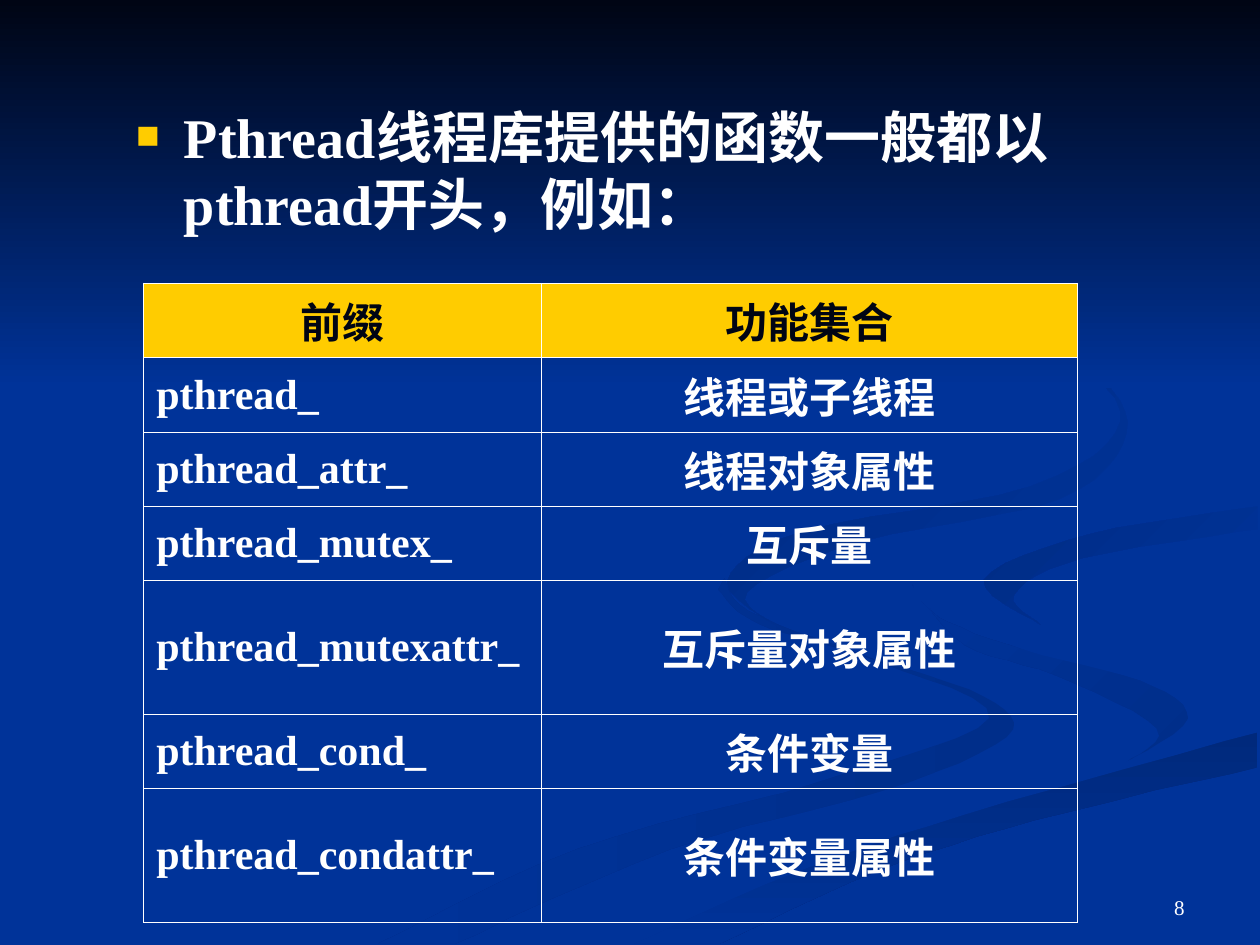
from typing import NamedTuple

from lxml.etree import SubElement
from pptx import Presentation
from pptx.dml.color import RGBColor
from pptx.enum.text import MSO_ANCHOR, MSO_AUTO_SIZE, PP_ALIGN
from pptx.oxml.ns import qn
from pptx.util import Pt

PX = 9144
SLIDE_WIDTH, SLIDE_HEIGHT = 1000, 750
FONT = "Times New Roman"
NAVY, BLUE, YELLOW, WHITE = "000514", "003399", "FFCC00", "FFFFFF"
SMOOTH_STEPS = 6

Point = tuple[int, int]


class Ribbon(NamedTuple):
    start: str
    end: str
    angle: int
    edges: list[list[Point]]


class Prefix(NamedTuple):
    name: str
    purpose: str
    height: int = 59


RIBBONS = [
    Ribbon("002E8A", BLUE, 180, [
        [(575, 459), (594, 485), (682, 519), (781, 553), (799, 585), (699, 628),
         (532, 674), (361, 749)],
        [(300, 749), (458, 674), (652, 620), (785, 570), (697, 525), (602, 495),
         (570, 468)]]),
    Ribbon("002E8A", BLUE, 225, [
        [(724, 464), (745, 490), (811, 515), (905, 540), (943, 570), (894, 605)],
        [(894, 605), (918, 578), (838, 536), (766, 512), (724, 464)]]),
    Ribbon("00297C", BLUE, 90, [
        [(503, 749), (630, 693), (764, 647), (998, 581)],
        [(998, 609), (821, 651), (695, 692), (571, 749)]]),
    Ribbon(BLUE, BLUE, 0, [
        [(999, 387), (874, 408), (755, 432), (728, 474), (811, 515), (905, 540),
         (943, 570), (892, 605), (704, 655), (477, 749)],
        [(503, 749), (630, 693), (764, 647), (999, 581)],
        [(999, 538), (866, 509), (781, 463), (850, 427), (999, 402)]]),
    Ribbon(BLUE, "002C85", 225, [
        [(998, 402), (865, 424), (781, 460), (826, 496)],
        [(826, 496), (805, 472), (859, 443), (998, 420)]]),
    Ribbon(BLUE, "002B81", 225, [
        [(762, 233), (864, 291), (894, 344), (841, 396), (683, 430), (593, 470),
         (622, 500)],
        [(622, 500), (577, 462), (637, 422), (818, 386), (889, 335), (846, 279),
         (762, 233)]]),
    Ribbon(NAVY, BLUE, 90, [
        [(0, 0), (0, 308)], [(SLIDE_WIDTH, 308), (SLIDE_WIDTH, 0)]]),
]

PREFIXES = [
    Prefix("前缀", "功能集合"),
    Prefix("pthread_", "线程或子线程"),
    Prefix("pthread_attr_", "线程对象属性"),
    Prefix("pthread_mutex_", "互斥量"),
    Prefix("pthread_mutexattr_", "互斥量对象属性", 106),
    Prefix("pthread_cond_", "条件变量"),
    Prefix("pthread_condattr_", "条件变量属性", 106),
]


def rgb(color: str) -> RGBColor:
    return RGBColor.from_string(color)


def place(shape, left: int, top: int, width: int, height: int) -> None:
    shape.left, shape.top = left * PX, top * PX
    shape.width, shape.height = width * PX, height * PX


def add_run(paragraph, text: str, size: int, color: str, bold: bool) -> None:
    run = paragraph.add_run()
    run.text = text
    run.font.name = FONT
    run.font.size = Pt(size)
    run.font.bold = bold
    run.font.color.rgb = rgb(color)


def blend(a: int, b: int, c: int, d: int, t: float) -> int:
    bend = (2 * a - 5 * b + 4 * c - d) * t**2 + (3 * b - a - 3 * c + d) * t**3
    return round((2 * b + (c - a) * t + bend) / 2)


def smooth(edge: list[Point]) -> list[Point]:
    if len(edge) == 2:
        return edge
    padded = [edge[0], *edge, edge[-1]]
    curve = [
        tuple(blend(*axis, step / SMOOTH_STEPS) for axis in zip(*padded[i:i + 4]))
        for i in range(len(edge) - 1)
        for step in range(SMOOTH_STEPS)
    ]
    return [*curve, edge[-1]]


def draw_ribbon(slide, ribbon: Ribbon) -> None:
    first, *rest = [point for edge in ribbon.edges for point in smooth(edge)]
    builder = slide.shapes.build_freeform(*first, scale=PX)
    builder.add_line_segments(rest, close=True)
    shape = builder.convert_to_shape()
    shape.shadow.inherit = False
    shape.line.fill.background()
    if ribbon.start == ribbon.end:
        shape.fill.solid()
        shape.fill.fore_color.rgb = rgb(ribbon.start)
        return
    shape.fill.gradient()
    shape.fill.gradient_angle = 360 - ribbon.angle
    for stop, color in zip(shape.fill.gradient_stops, (ribbon.start, ribbon.end)):
        stop.color.rgb = rgb(color)


def add_square_bullet(paragraph) -> None:
    properties = paragraph._p.get_or_add_pPr()
    properties.set("marL", str(38 * PX))
    properties.set("indent", str(-38 * PX))
    bullet_color = SubElement(properties, qn("a:buClr"))
    SubElement(bullet_color, qn("a:srgbClr"), val=YELLOW)
    SubElement(properties, qn("a:buSzPct"), val="70000")
    SubElement(properties, qn("a:buFont"), typeface=FONT)
    SubElement(properties, qn("a:buChar"), char="■")


def write_intro(slide) -> None:
    intro = slide.placeholders[1]
    slide.shapes.element.append(intro.element)
    place(intro, 98, 76, 756, 126)
    frame = intro.text_frame
    frame.auto_size = MSO_AUTO_SIZE.NONE
    paragraph = frame.paragraphs[0]
    add_square_bullet(paragraph)
    paragraph.space_before = Pt(0)
    add_run(paragraph, "Pthread线程库提供的函数一般都以pthread开头，例如：", 32, WHITE, True)


def draw_cell(cell, text: str, heading: bool, centered: bool) -> None:
    properties = cell._tc.get_or_add_tcPr()
    for side in ("a:lnL", "a:lnR", "a:lnT", "a:lnB"):
        border = SubElement(properties, qn(side), w=str(int(Pt(0.75))))
        SubElement(SubElement(border, qn("a:solidFill")), qn("a:srgbClr"), val=WHITE)
    if heading:
        cell.fill.solid()
        cell.fill.fore_color.rgb = rgb(YELLOW)
    else:
        cell.fill.background()
    cell.vertical_anchor = MSO_ANCHOR.MIDDLE
    paragraph = cell.text_frame.paragraphs[0]
    paragraph.alignment = PP_ALIGN.CENTER if centered else PP_ALIGN.LEFT
    add_run(paragraph, text, 24, NAVY if heading else WHITE, True)


def draw_prefix_table(slide, prefixes: list[Prefix]) -> None:
    widths = (316, 425)
    height = sum(prefix.height for prefix in prefixes)
    table = slide.shapes.add_table(
        len(prefixes), len(widths), 114 * PX, 225 * PX, sum(widths) * PX, height * PX
    ).table
    table.first_row = table.horz_banding = False
    for column, width in zip(table.columns, widths):
        column.width = width * PX
    for index, prefix in enumerate(prefixes):
        table.rows[index].height = prefix.height * PX
        heading = index == 0
        draw_cell(table.cell(index, 0), prefix.name, heading, heading)
        draw_cell(table.cell(index, 1), prefix.purpose, heading, True)


def write_page_number(slide) -> None:
    page_number = slide.shapes.add_textbox(717 * PX, 683 * PX, 233 * PX, 52 * PX)
    frame = page_number.text_frame
    frame.word_wrap = True
    frame.vertical_anchor = MSO_ANCHOR.BOTTOM
    frame.paragraphs[0].alignment = PP_ALIGN.RIGHT
    add_run(frame.paragraphs[0], "8", 12, WHITE, False)


def main() -> None:
    presentation = Presentation()
    presentation.slide_width = SLIDE_WIDTH * PX
    presentation.slide_height = SLIDE_HEIGHT * PX
    slide = presentation.slides.add_slide(presentation.slide_layouts[1])
    slide.background.fill.solid()
    slide.background.fill.fore_color.rgb = rgb(BLUE)
    slide.shapes.element.remove(slide.shapes.title.element)
    for ribbon in RIBBONS:
        draw_ribbon(slide, ribbon)
    write_intro(slide)
    draw_prefix_table(slide, PREFIXES)
    write_page_number(slide)
    presentation.save("out.pptx")


if __name__ == "__main__":
    main()
